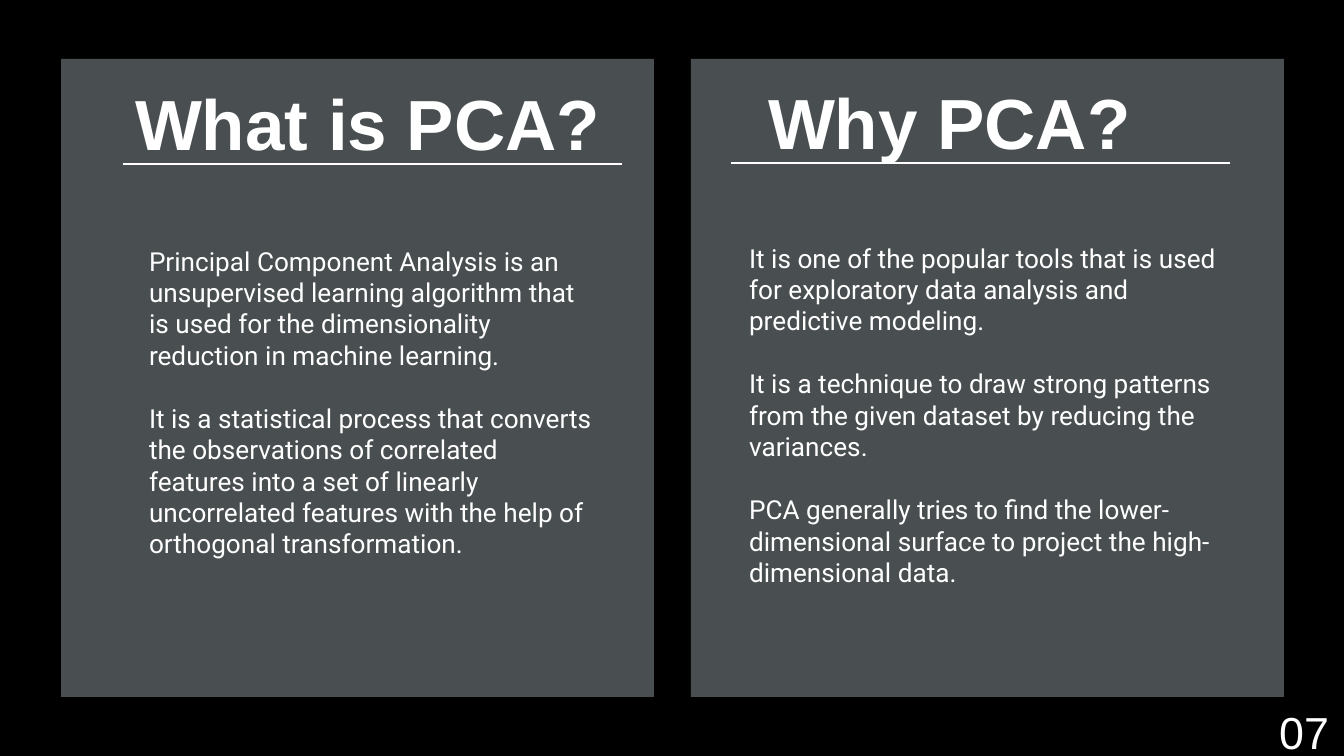
import pptx
import pptx.dml.color
import pptx.enum.shapes
import pptx.enum.text
import pptx.oxml.ns
import pptx.util
from lxml import etree

EMU_PER_PX = 914400 / 134.4
ANCHOR = pptx.enum.text.MSO_ANCHOR
ALIGN = pptx.enum.text.PP_ALIGN


def px(*lengths):
    return [pptx.util.Emu(round(n * EMU_PER_PX)) for n in lengths]


def rgb(value):
    return pptx.dml.color.RGBColor.from_string(value)


class Deck:
    BACK, PANEL, INK = "000000", "494F51", "FFFFFF"
    HEAD_FONT, BODY_FONT = "Arial", "Roboto"

    def __init__(self, width, height):
        self.prs = pptx.Presentation()
        self.prs.slide_width, self.prs.slide_height = px(width, height)

    def add_slide(self):
        self.s = self.prs.slides.add_slide(self.prs.slide_layouts[5])
        fill = self.s.background.fill
        fill.solid()
        fill.fore_color.rgb = rgb(self.BACK)

    def panel(self, *box):
        sp = self.s.shapes.add_shape(
            pptx.enum.shapes.MSO_SHAPE.RECTANGLE, *px(*box))
        sp.shadow.inherit = False
        sp.fill.solid()
        sp.fill.fore_color.rgb = rgb(self.PANEL)
        sp.line.fill.background()

    def rule(self, x, y, width):
        line = self.s.shapes.add_connector(
            pptx.enum.shapes.MSO_CONNECTOR.STRAIGHT, *px(x, y, x + width, y))
        line.line.color.rgb = rgb(self.INK)
        line.line.width = pptx.util.Pt(0.75)
        etree.SubElement(line.element.spPr, pptx.oxml.ns.qn("a:effectLst"))

    def set_text(self, sp, paragraphs, font, size, bold=False,
                 align=ALIGN.LEFT, anchor=ANCHOR.TOP, gap=0, inset=13):
        tf = sp.text_frame
        tf.word_wrap = True
        tf.auto_size = pptx.enum.text.MSO_AUTO_SIZE.NONE
        tf.vertical_anchor = anchor
        tf.margin_left, tf.margin_right = px(inset, inset)
        tf.margin_top = tf.margin_bottom = 0
        for i, text in enumerate(paragraphs):
            p = tf.add_paragraph() if i else tf.paragraphs[0]
            p.text = text
            p.alignment = align
            if i:
                p.space_before = pptx.util.Pt(gap)
            p.font.name = font
            p.font.size = pptx.util.Pt(size)
            p.font.bold = bold
            p.font.color.rgb = rgb(self.INK)

    def text_box(self, box):
        return self.s.shapes.add_textbox(*px(*box))

    def heading(self, text, box, is_title):
        if is_title:
            sp = self.s.shapes.title
            sp.left, sp.top, sp.width, sp.height = px(*box)
            # Bring the title in front of the panels
            self.s.shapes.element.append(sp.element)
        else:
            sp = self.text_box(box)
        self.set_text(sp, [text], self.HEAD_FONT, 38, bold=True,
                      anchor=ANCHOR.BOTTOM)

    def body(self, paragraphs, box):
        self.set_text(self.text_box(box), paragraphs, self.BODY_FONT, 14,
                      gap=17)

    def page_number(self, text, box):
        self.set_text(self.text_box(box), [text], self.HEAD_FONT, 24,
                      align=ALIGN.RIGHT, inset=5)


WHAT = [
    "Principal Component Analysis is an unsupervised learning algorithm that "
    "is used for the dimensionality reduction in machine learning.",
    "It is a statistical process that converts the observations of correlated "
    "features into a set of linearly uncorrelated features with the help of "
    "orthogonal transformation.",
]
WHY = [
    "It is one of the popular tools that is used for exploratory data "
    "analysis and predictive modeling.",
    "It is a technique to draw strong patterns from the given dataset by "
    "reducing the variances.",
    "PCA generally tries to find the lower-dimensional surface to project "
    "the high-dimensional data.",
]


def main():
    deck = Deck(1344, 756)
    deck.add_slide()

    # Two panels
    for x in (61, 691):
        deck.panel(x, 59, 593, 638)

    # Headings with their rules
    deck.heading("What is PCA?", (122, 75, 499, 90), is_title=True)
    deck.heading("Why PCA?", (755, 74, 499, 90), is_title=False)
    deck.rule(123, 164, 499)
    deck.rule(731, 163, 499)

    # Explanations
    deck.body(WHAT, (136, 245, 473, 461))
    deck.body(WHY, (736, 242, 499, 461))

    # Page number
    deck.page_number("07", (1254, 705, 80, 52))

    deck.prs.save("out.pptx")


if __name__ == "__main__":
    main()
